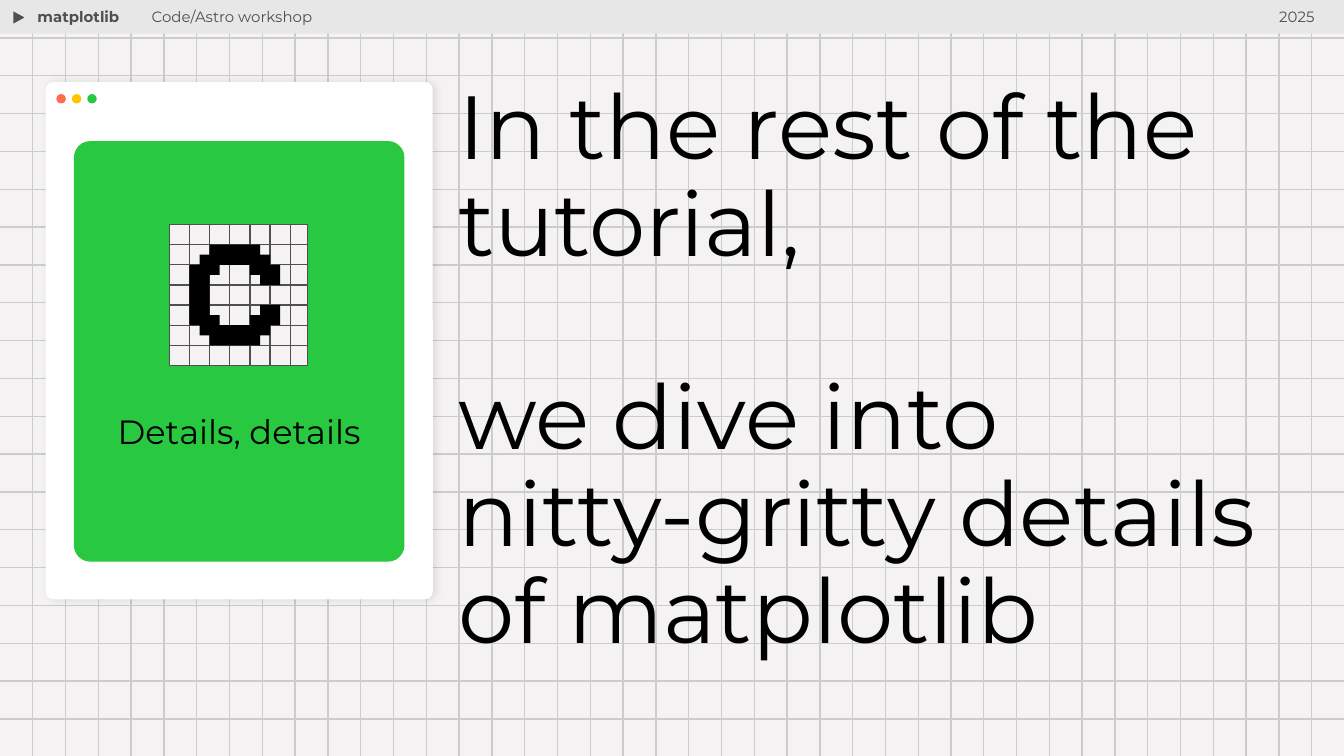
"""Build the opening slide of a matplotlib tutorial section."""
from dataclasses import dataclass

from lxml.etree import SubElement
from pptx import Presentation
from pptx.dml.color import RGBColor
from pptx.enum.shapes import MSO_CONNECTOR as Link, MSO_SHAPE as Kind
from pptx.enum.text import MSO_ANCHOR as Anchor, PP_ALIGN as Align
from pptx.oxml.ns import qn
from pptx.shapes.base import BaseShape
from pptx.util import Inches, Length, Pt

PAPER, RULE, BAR, GREY = "F4F2F2", "CCCCCC", "E7E7E7", "4F4F4F"
BLACK, WHITE, GREEN = "000000", "FFFFFF", "28C840"
WIDE = 10
HIGH = WIDE * 9 / 16
LETTER = [
    (2, 10), (2, 9), (1, 9), (1, 8), (0, 8), (0, 2), (1, 2), (1, 1), (2, 1),
    (2, 0), (7, 0), (7, 1), (8, 1), (8, 2), (9, 2), (9, 4), (7, 4), (7, 3),
    (6, 3), (6, 2), (3, 2), (3, 3), (2, 3), (2, 7), (3, 7), (3, 8), (6, 8),
    (6, 7), (7, 7), (7, 6), (9, 6), (9, 8), (8, 8), (8, 9), (7, 9), (7, 10),
]


@dataclass
class Box:
    left: float
    top: float
    width: float
    height: float

    def place(self) -> list[Length]:
        return [Inches(n) for n in (self.left, self.top, self.width, self.height)]


@dataclass
class Block:
    box: Box
    fill: str
    kind: Kind = Kind.RECTANGLE
    line: str = ""
    round: float = 0
    turn: float = 0


@dataclass
class Label:
    box: Box
    lines: list[str]
    size: float = 8
    color: str = GREY
    bold: bool = False
    align: Align = Align.LEFT
    spacing: float = 1


def tint(code: str) -> RGBColor:
    return RGBColor.from_string(code)


def paint(shape: BaseShape, fill: str, line: str = "") -> None:
    shape.shadow.inherit = False
    shape.fill.solid()
    shape.fill.fore_color.rgb = tint(fill)
    if line:
        shape.line.color.rgb = tint(line)
        shape.line.width = Pt(0.75)
    else:
        shape.line.fill.background()


def add_block(block: Block) -> BaseShape:
    shape = shapes.add_shape(block.kind, *block.box.place())
    if block.round:
        shape.adjustments[0] = block.round
    shape.rotation = block.turn
    paint(shape, block.fill, block.line)
    return shape


def add_line(x: float, y: float, end_x: float, end_y: float, color: str) -> None:
    ends = [Inches(n) for n in (x, y, end_x, end_y)]
    line = shapes.add_connector(Link.STRAIGHT, *ends)
    line.line.color.rgb = tint(color)
    line.line.width = Pt(0.75)
    SubElement(line._element.spPr, qn("a:effectLst"))


def add_grid(box: Box, xs: list[float], ys: list[float], color: str) -> None:
    for y in ys:
        add_line(box.left, y, box.left + box.width, y, color)
    for x in xs:
        add_line(x, box.top, x, box.top + box.height, color)


def add_shade(shape: BaseShape) -> None:
    effects = shape._element.spPr.find(qn("a:effectLst"))
    shade = SubElement(effects, qn("a:outerShdw"), blurRad=str(Pt(4.5)),
                       dist=str(Pt(1.5)), dir="0", algn="bl", rotWithShape="0")
    color = SubElement(shade, qn("a:srgbClr"), val=BLACK)
    SubElement(color, qn("a:alpha"), val="11000")


def add_label(label: Label) -> None:
    frame = shapes.add_textbox(*label.box.place()).text_frame
    frame.word_wrap = True
    frame.vertical_anchor = Anchor.TOP
    frame.margin_left = frame.margin_right = Inches(0.1)
    frame.margin_top = frame.margin_bottom = Inches(0.1)
    frame.text = "\n".join(label.lines)
    for part in frame.paragraphs:
        part.alignment = label.align
        part.line_spacing = label.spacing
        font = part.runs[0].font
        font.name, font.size, font.bold = "Montserrat", Pt(label.size), label.bold
        font.color.rgb = tint(label.color)
    if len(label.lines) > 1:
        frame.paragraphs[1].space_before = Pt(52)


def add_icon(box: Box, step: float) -> None:
    add_block(Block(box, PAPER, line=GREY))
    xs = [box.left + step * n for n in range(1, 7)]
    ys = [box.top + step * n for n in range(1, 7)]
    add_grid(box, xs, ys, GREY)
    pen = shapes.build_freeform(*LETTER[0], scale=Inches(step) / 2)
    pen.add_line_segments(LETTER[1:], close=True)
    paint(pen.convert_to_shape(Inches(xs[0]), Inches(ys[0])), BLACK)


deck = Presentation()
deck.slide_width, deck.slide_height = Inches(WIDE), Inches(HIGH)
slide = deck.slides.add_slide(deck.slide_layouts[6])
shapes = slide.shapes
slide.background.fill.solid()
slide.background.fill.fore_color.rgb = tint(PAPER)

add_grid(Box(0, 0, WIDE, HIGH), [9.76 * n / 40 for n in range(1, 41)],
         [5.35 * n / 19 for n in range(1, 20)], RULE)
add_block(Block(Box(0, 0, WIDE, 0.25), BAR))
add_block(Block(Box(0.09, 0.08, 0.11, 0.1), GREY, Kind.ISOSCELES_TRIANGLE, BAR, turn=90))
card = Block(Box(0.34, 0.61, 2.88, 3.85), WHITE, Kind.ROUNDED_RECTANGLE, round=0.02)
add_shade(add_block(card))
add_block(Block(Box(0.55, 1.05, 2.46, 3.13), GREEN, Kind.ROUNDED_RECTANGLE, round=0.05))
for n, color in enumerate(["FF6B4D", "FFC600", GREEN]):
    add_block(Block(Box(0.42 + 0.23 * n / 2, 0.7, 0.07, 0.07), color, Kind.OVAL))
add_icon(Box(1.26, 1.67, 1.03, 1.05), 0.15)

LABELS = [
    Label(Box(0.18, -0.01, 1.28, 0.34), ["matplotlib"], bold=True),
    Label(Box(1.03, -0.01, 4.17, 0.47), ["Code/Astro workshop"]),
    Label(Box(8.21, -0.01, 1.67, 0.74), ["2025"], align=Align.RIGHT),
    Label(Box(0.55, 2.96, 2.46, 0.5), ["Details, details"], 18, BLACK, align=Align.CENTER),
    Label(Box(3.31, 0.51, 6.44, 4.57),
          ["In the rest of the tutorial,", "we dive into", "nitty-gritty details of matplotlib"],
          48, BLACK, spacing=0.9),
]
for label in LABELS:
    add_label(label)
deck.save("out.pptx")
